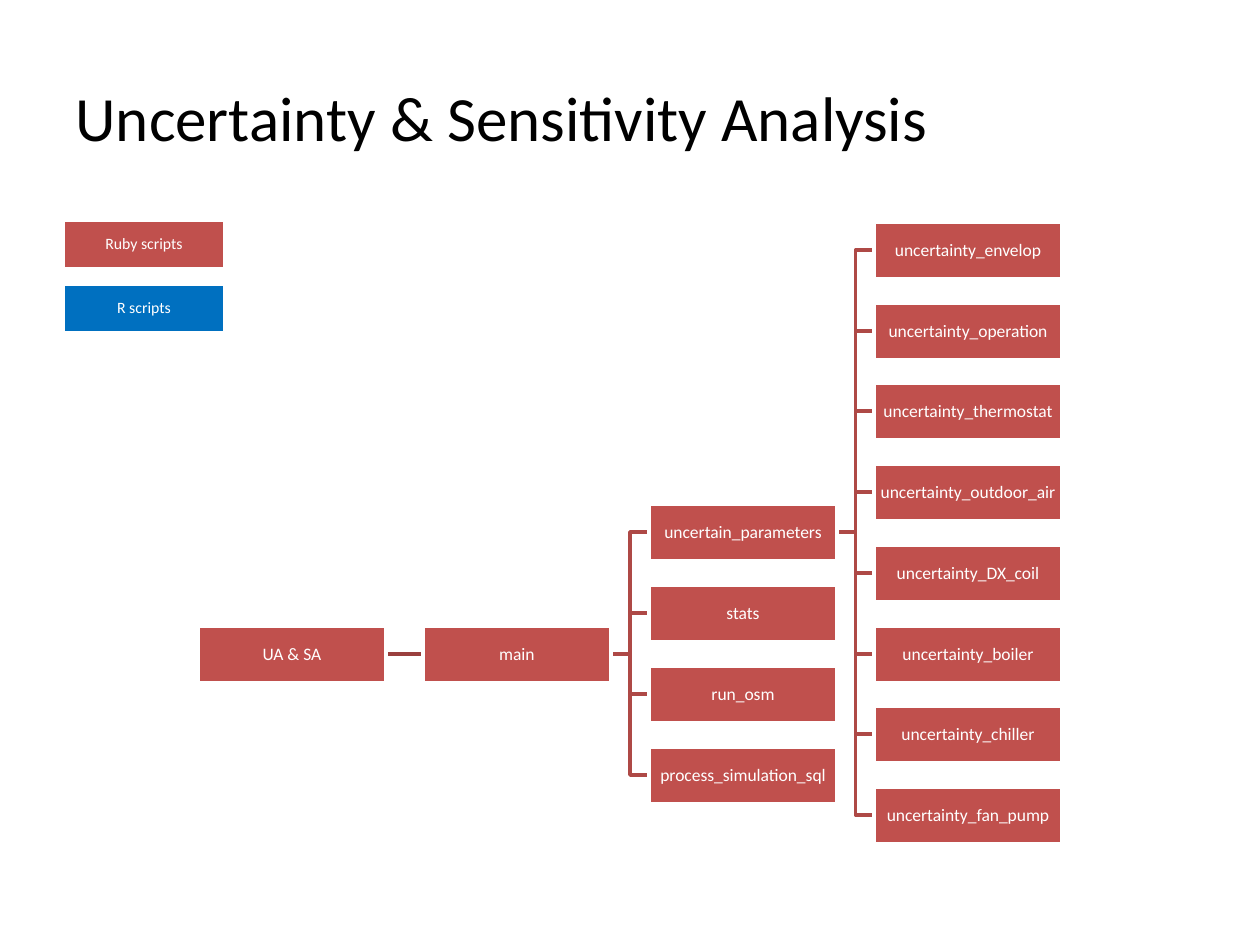
"""Build the uncertainty and sensitivity analysis script tree slide."""
from lxml import etree
from pptx import Presentation
from pptx.dml.color import RGBColor
from pptx.enum.shapes import MSO_CONNECTOR, MSO_SHAPE
from pptx.enum.text import MSO_ANCHOR, PP_ALIGN
from pptx.oxml.ns import qn
from pptx.util import Emu, Pt

RECT = MSO_SHAPE.RECTANGLE
ELBOW, STRAIGHT = MSO_CONNECTOR.ELBOW, MSO_CONNECTOR.STRAIGHT
MIDDLE = MSO_ANCHOR.MIDDLE
LEFT, CENTER = PP_ALIGN.LEFT, PP_ALIGN.CENTER

RED = RGBColor(0xC0, 0x50, 0x4D)
BLUE = RGBColor(0x00, 0x70, 0xC0)
WHITE = RGBColor(0xFF, 0xFF, 0xFF)
BLACK = RGBColor(0x00, 0x00, 0x00)
BRANCH = RGBColor(0xAE, 0x49, 0x46)
TRUNK = RGBColor(0x9A, 0x40, 0x3E)

PX = 914400 // 126
FONT = "Calibri"
BOX_W, BOX_H = 188, 57
COLUMNS = [198, 423, 649, 874]
FIRST_ROW, LAST_ROW = 250, 815
PITCH = (LAST_ROW - FIRST_ROW) / 7

prs = Presentation()
prs.slide_width, prs.slide_height = Emu(1260 * PX), Emu(945 * PX)
s = prs.slides.add_slide(prs.slide_layouts[5])


def row_y(row):
    return round(FIRST_ROW + row * PITCH)


def add_box(text, x, y, w=BOX_W, h=BOX_H, fill=RED, size=10):
    sp = s.shapes.add_shape(RECT, x * PX, y * PX, w * PX, h * PX)
    sp.shadow.inherit = False
    sp.fill.solid()
    sp.fill.fore_color.rgb = fill
    sp.line.color.rgb = WHITE
    sp.line.width = Pt(2)
    tf = sp.text_frame
    tf.word_wrap = True
    tf.vertical_anchor = MIDDLE
    tf.margin_left = tf.margin_right = tf.margin_top = tf.margin_bottom = PX
    p = tf.paragraphs[0]
    p.alignment = CENTER
    p.line_spacing = 0.9
    r = p.add_run()
    r.text = text
    r.font.name = FONT
    r.font.size = Pt(size)
    r.font.color.rgb = WHITE


title = s.shapes.title
title.left, title.top, title.width, title.height = 63 * PX, 38 * PX, 1134 * PX, 157 * PX
title.text_frame.vertical_anchor = MIDDLE
p = title.text_frame.paragraphs[0]
p.alignment = LEFT
r = p.add_run()
r.text = "Uncertainty & Sensitivity Analysis"
r.font.name = FONT
r.font.size = Pt(36)
r.font.color.rgb = BLACK

tree = [
    (0, 5, ["UA & SA"]),
    (1, 5, ["main"]),
    (2, 3.5, ["uncertain_parameters", "stats", "run_osm", "process_simulation_sql"]),
    (3, 0, ["uncertainty_" + name for name in (
        "envelop", "operation", "thermostat", "outdoor_air",
        "DX_coil", "boiler", "chiller", "fan_pump")]),
]
parent_rows = {1: 5, 2: 5, 3: 3.5}

for column, first, names in tree[1:]:
    start = parent_rows[column]
    for row in range(len(names)):
        end = first + row
        cn = s.shapes.add_connector(
            STRAIGHT if end == start else ELBOW,
            (COLUMNS[column - 1] + BOX_W) * PX, row_y(start) * PX,
            COLUMNS[column] * PX, row_y(end) * PX)
        cn.line.color.rgb = TRUNK if column == 1 else BRANCH
        cn.line.width = Pt(2)
        etree.SubElement(cn._element.spPr, qn("a:effectLst"))

for column, first, names in tree:
    for row, name in enumerate(names):
        add_box(name, COLUMNS[column], row_y(first + row) - BOX_H // 2)

for i, (label, color) in enumerate([("Ruby scripts", RED), ("R scripts", BLUE)]):
    add_box(label, 63, 220 + i * 64, w=162, h=49, fill=color, size=9)

prs.save("out.pptx")
